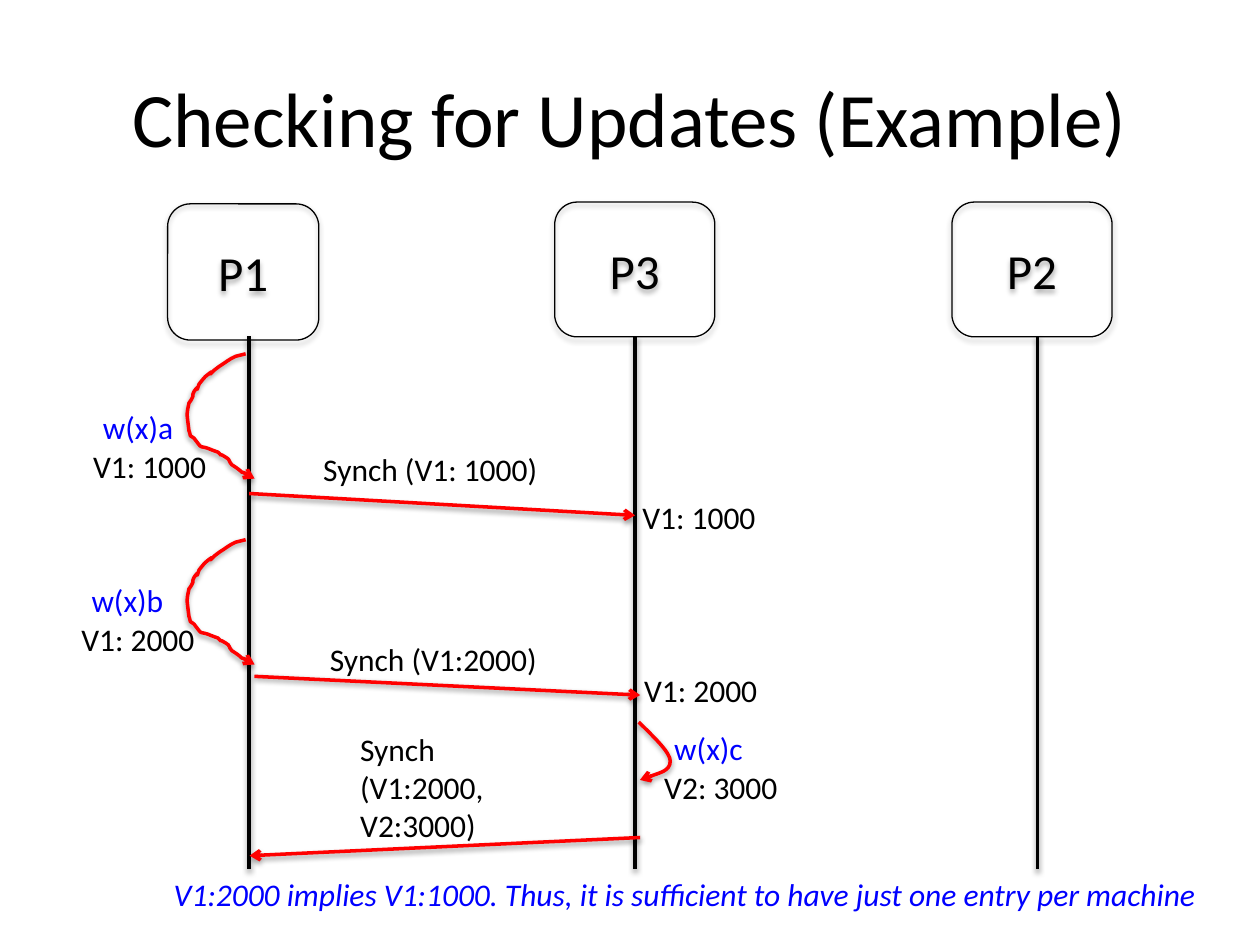
from lxml import etree
from pptx import Presentation
from pptx.dml.color import RGBColor as RGB
from pptx.enum.shapes import MSO_CONNECTOR as Conn, MSO_SHAPE as Shape
from pptx.enum.text import MSO_ANCHOR as Anchor, MSO_AUTO_SIZE as Auto, PP_ALIGN as Align
from pptx.oxml import parse_xml
from pptx.oxml.ns import nsdecls, qn
from pptx.util import Pt

BLACK, BLUE, RED = "000000", "0000FF", "FF0000"
FONT = "Calibri"
LOOP = [
    (33.8, 0),
    (31.7, 0.7), (30.2, 0.7), (28.1, 1.4),
    (24.5, 2.9), (22.3, 5), (18.7, 7.2),
    (18, 7.9), (16.6, 8.6), (15.8, 9.4),
    (9.4, 15.8), (19.4, 5.8), (10.8, 13),
    (9.4, 14.4), (7.2, 17.3), (7.2, 17.3),
    (4.3, 25.2), (8.6, 15.1), (4.3, 21.6),
    (3.6, 22.3), (3.6, 23.8), (3.6, 24.5),
    (2.9, 25.9), (2.2, 27.4), (1.4, 28.1),
    (0, 35.3), (0, 32.4), (1.4, 43.9),
    (1.4, 44.6), (2.2, 45.4), (2.2, 46.8),
    (2.9, 47.5), (3.6, 47.5), (4.3, 48.2),
    (5, 49), (5.8, 50.4), (6.5, 51.1),
    (8.6, 54), (7.9, 52.6), (12.2, 54),
    (13.7, 54.7), (18, 56.2), (18, 56.2),
    (22.3, 60.5), (16.6, 55.4), (22.3, 59),
    (25.2, 60.5), (23.8, 61.2), (25.9, 63.4),
    (28.1, 64.8), (30.2, 66.2), (31.7, 67.7),
    (33.1, 67.7), (33.8, 69.1), (34.6, 69.1),
    (38.2, 70.6), (36.7, 69.8), (38.9, 71.3),
]
HOOK = [(0, 0), (8.6, 8.6), (18, 17.3), (18, 22.3),
        (18, 28.1), (0.7, 33.1), (0.7, 33.1)]


def color(code):
    return RGB.from_string(code)


def write(para, text, size, code=BLACK, slant=False):
    run = para.add_run()
    run.text = text
    font = run.font
    font.name, font.size = FONT, Pt(size)
    if slant:
        font.italic = True
    font.color.rgb = color(code)


def stroke(item, code, width, alpha, dist, head=False):
    item.line.color.rgb = color(code)
    item.line.width = Pt(width)
    if head:
        line = item.line._get_or_add_ln()
        etree.SubElement(line, qn("a:tailEnd"), type="arrow")
    item.element.spPr.append(parse_xml(
        f'<a:effectLst {nsdecls("a")}><a:outerShdw blurRad="{Pt(3.1)}" '
        f'dist="{Pt(dist)}" dir="5400000" rotWithShape="0"><a:srgbClr val="{BLACK}">'
        f'<a:alpha val="{alpha}000"/></a:srgbClr></a:outerShdw></a:effectLst>'))


def title(slide, box, text):
    head = slide.shapes.title
    head.left, head.top, head.width, head.height = map(Pt, box)
    frame = head.text_frame
    frame.vertical_anchor = Anchor.MIDDLE
    para = frame.paragraphs[0]
    para.alignment = Align.CENTER
    write(para, text, 44)


def link(slide, start, end, code, head=False):
    line = slide.shapes.add_connector(Conn.STRAIGHT, *map(Pt, start + end))
    stroke(line, code, 2, 38, 1.6, head)
    return line


def actor(slide, box, name, axis):
    node = slide.shapes.add_shape(Shape.ROUNDED_RECTANGLE, *map(Pt, box))
    node.fill.background()
    stroke(node, BLACK, 0.75, 35, 1.8)
    frame = node.text_frame
    frame.vertical_anchor = Anchor.MIDDLE
    para = frame.paragraphs[0]
    para.alignment = Align.CENTER
    write(para, name, 28)
    left, top, width, height = box
    life = link(slide, (axis, 192.2), (axis, 496.8), BLACK)
    if axis == left + width / 2:
        life.begin_connect(node, 2)


def curve(slide, left, top, knots):
    spots = [(Pt(left + x), Pt(top + y)) for x, y in knots]
    pen = slide.shapes.build_freeform(*spots[0])
    pen.add_line_segments(spots[1:], close=False)
    path = pen.convert_to_shape()
    legs = list(path.element.iter(qn("a:lnTo")))
    for first, second, third in zip(legs[::3], legs[1::3], legs[2::3]):
        first.tag = qn("a:cubicBezTo")
        for leg in (second, third):
            first.append(leg[0])
            leg.getparent().remove(leg)
    path.fill.background()
    stroke(path, RED, 2, 38, 1.6, True)


def label(slide, box, lines, code=BLACK, slant=False):
    note = slide.shapes.add_textbox(*map(Pt, box))
    frame = note.text_frame
    frame.word_wrap = False
    frame.auto_size = Auto.SHAPE_TO_FIT_TEXT
    for i, text in enumerate(lines):
        para = frame.add_paragraph() if i else frame.paragraphs[0]
        write(para, text, 18, code, slant)


def main():
    deck = Presentation()
    deck.slide_width, deck.slide_height = Pt(720), Pt(540)
    slide = deck.slides.add_slide(deck.slide_layouts[5])
    title(slide, (36, 21.6, 648, 90), "Checking for Updates (Example)")

    for box, name, axis in [
        ((95.8, 116.5, 86.4, 77.8), "P1", 142.3),
        ((317, 115.5, 91.5, 77), "P3", 362.75),
        ((544, 115.5, 91.5, 77), "P2", 593),
    ]:
        actor(slide, box, name, axis)

    for left, top, knots in [(106.6, 202.2, LOOP), (106.6, 308.4, LOOP),
                             (365, 412.6, HOOK)]:
        curve(slide, left, top, knots)

    for start, end in [((142.4, 282), (362.9, 294.5)),
                       ((145.4, 386.5), (365.8, 397.2)),
                       ((365.8, 478.6), (142.6, 489))]:
        link(slide, start, end, RED, True)

    for left, top, width, text in [(51.8, 229.7, 55.4, "w(x)a"),
                                   (45.2, 328.7, 56.2, "w(x)b"),
                                   (378.2, 413.3, 54, "w(x)c")]:
        label(slide, (left, top, width, 29), [text], BLUE)

    for left, top, text in [(46.1, 252, "V1: 1000"), (39.4, 350.6, "V1: 2000"),
                            (360, 280.8, "V1: 1000"), (361, 379.9, "V1: 2000"),
                            (372.5, 435.2, "V2: 3000")]:
        label(slide, (left, top, 80, 29), [text])

    label(slide, (177.6, 253.8, 138.2, 29), ["Synch (V1: 1000)"])
    label(slide, (181.4, 362.2, 133.9, 29), ["Synch (V1:2000)"])
    label(slide, (198.7, 413.6, 85.7, 72.7), ["Synch", "(V1:2000,", "V2:3000)"])
    label(slide, (92.2, 496.5, 609.8, 29),
          ["V1:2000 implies V1:1000. Thus, it is sufficient to have just one "
           "entry per machine"], BLUE, True)
    deck.save("out.pptx")


if __name__ == "__main__":
    main()
